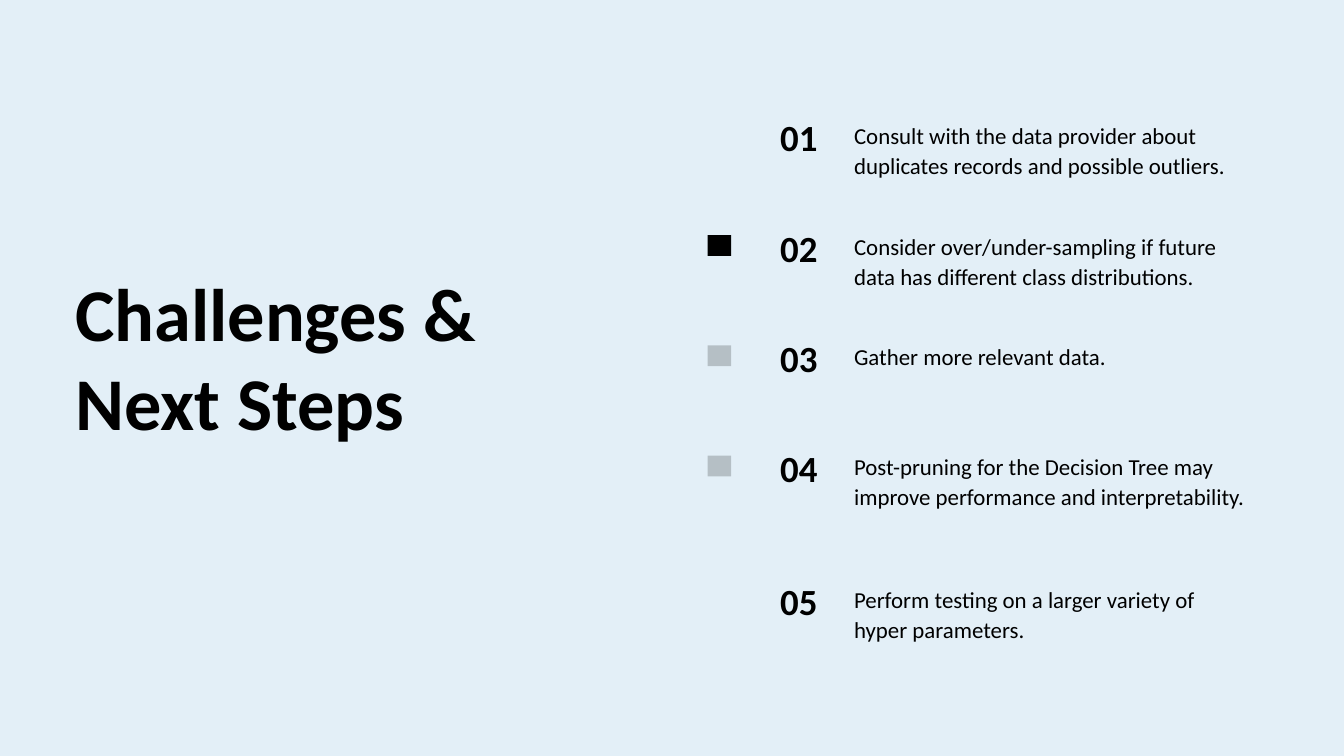
from lxml import etree
from pptx import Presentation
from pptx.dml.color import RGBColor
from pptx.enum.shapes import MSO_SHAPE as Shape
from pptx.enum.text import MSO_ANCHOR as Anchor, MSO_AUTO_SIZE as Fit, PP_ALIGN as Align
from pptx.oxml.ns import qn
from pptx.util import Inches, Pt

INK = "000000"
PALE = "E3EFF7"
FONT = "Calibri"
STEPS = [
    (1.65, "Consult with the data provider about duplicates records and possible outliers.", None),
    (3.3, "Consider over/under-sampling if future data has different class distributions.", 100),
    (4.94, "Gather more relevant data.", 20),
    (6.58, "Post-pruning for the Decision Tree may improve performance and interpretability.", 20),
    (8.55, "Perform testing on a larger variety of hyper parameters.", None),
]


def paint(fill, color, alpha=100):
    fill.solid()
    fill.fore_color.rgb = RGBColor.from_string(color)
    if alpha < 100:
        node = fill._xPr.find(qn("a:solidFill"))[0]
        etree.SubElement(node, qn("a:alpha"), val=str(alpha * 1000))


def place(shape, left, top, width, height):
    shape.left, shape.top = Inches(left), Inches(top)
    shape.width, shape.height = Inches(width), Inches(height)


def write(shape, text, size, lead, bold=False):
    frame = shape.text_frame
    frame.text = text
    frame.word_wrap = True
    frame.auto_size = Fit.SHAPE_TO_FIT_TEXT
    frame.vertical_anchor = Anchor.TOP
    frame.margin_left = frame.margin_right = 0
    frame.margin_top = frame.margin_bottom = 0
    para = frame.paragraphs[0]
    para.alignment = Align.LEFT
    para.line_spacing = Pt(lead)
    para.space_before = Pt(0)
    font = para.font
    font.name, font.size, font.bold = FONT, Pt(size), bold
    font.color.rgb = RGBColor.from_string(INK)


def add_title(slide, left, top, width, height):
    title = slide.shapes.title
    place(title, left, top, width, height)
    write(title, "Challenges & Next Steps", 79.7, 95.7, True)


def add_mark(slide, left, top, alpha):
    mark = slide.shapes.add_shape(
        Shape.RECTANGLE, Inches(left), Inches(top), Inches(0.35), Inches(0.31))
    mark.shadow.inherit = False
    paint(mark.fill, INK, alpha)
    mark.line.fill.background()


def add_step(slide, left, top, width, label, text):
    group = slide.shapes.add_group_shape()
    gap = 1.1
    number = group.shapes.add_textbox(
        Inches(left), Inches(top), Inches(0.84), Inches(0.68))
    write(number, label, 39.5, 51.3, True)
    body = group.shapes.add_textbox(
        Inches(left + gap), Inches(top + 0.13), Inches(width - gap), Inches(0.86))
    write(body, text, 24.5, 31.8)


def main():
    deck = Presentation()
    deck.slide_width, deck.slide_height = Inches(20), Inches(11.25)
    slide = deck.slides.add_slide(deck.slide_layouts[5])
    paint(slide.background.fill, PALE)
    add_title(slide, 1.12, 3.97, 6.97, 2.65)
    for index, (top, text, alpha) in enumerate(STEPS, 1):
        if alpha:
            add_mark(slide, 10.53, top + 0.2, alpha)
        add_step(slide, 11.61, top, 7, f"{index:02}", text)
    deck.save("out.pptx")


if __name__ == "__main__":
    main()
